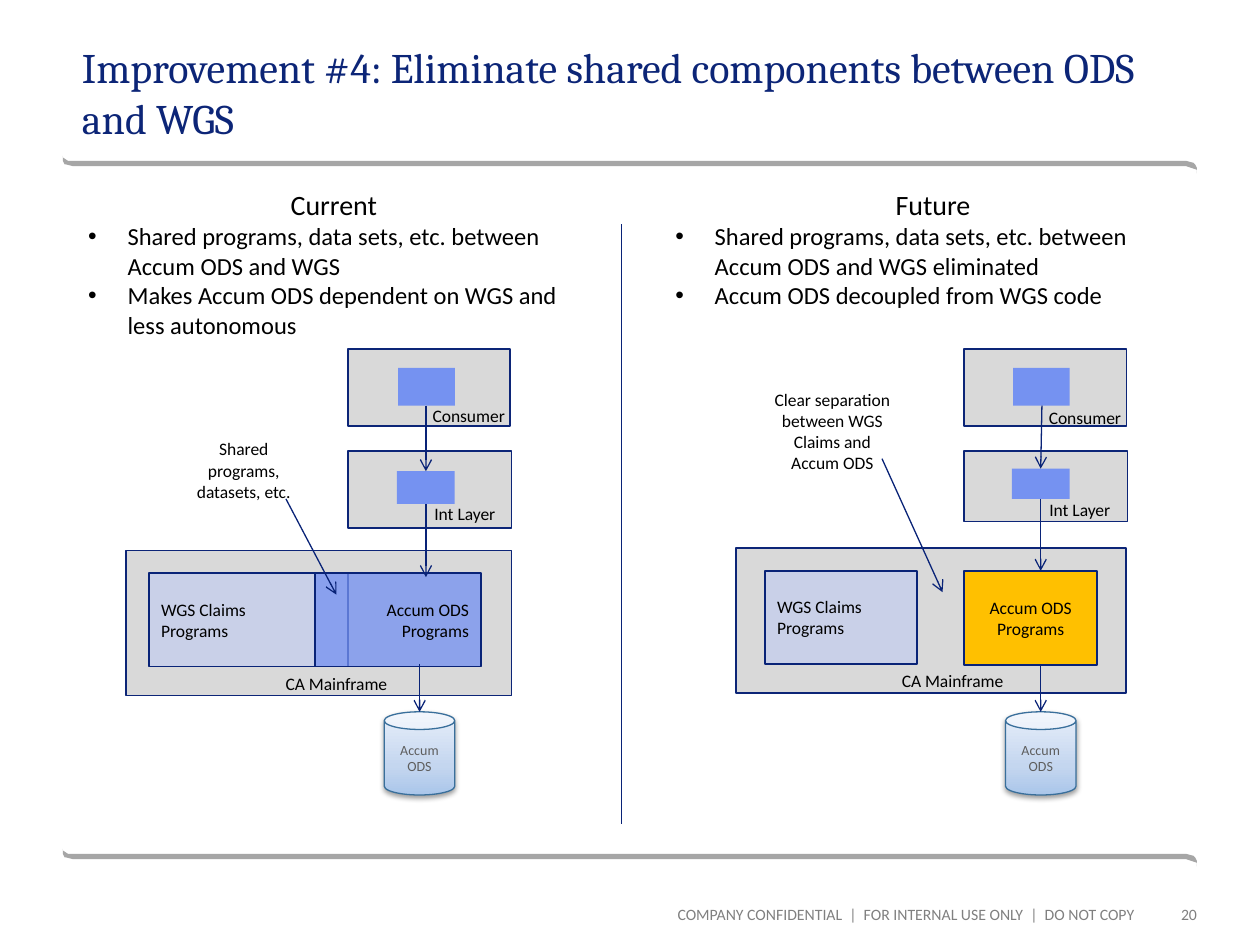
from copy import deepcopy

from lxml import etree
from pptx import Presentation
from pptx.dml.color import RGBColor
from pptx.enum import shapes, text
from pptx.oxml.ns import qn
from pptx.util import Pt

NAVY, INK, BLACK, GREY = "0C2577", "092377", "000000", "808080"
PANEL, BLUE, PALE, AMBER, RULE = "D9D9D9", "7592F1", "BAC9F8", "FFC000", "A6A6A6"
LEFT, CENTER, RIGHT = text.PP_ALIGN.LEFT, text.PP_ALIGN.CENTER, text.PP_ALIGN.RIGHT
TOP, MIDDLE, BOTTOM = text.MSO_ANCHOR.TOP, text.MSO_ANCHOR.MIDDLE, text.MSO_ANCHOR.BOTTOM

TITLE = "Improvement #4: Eliminate shared components between ODS and WGS"
FOOTERS = [
    ("COMPANY CONFIDENTIAL  |  FOR INTERNAL USE ONLY  |  DO NOT COPY", (246.2, 517, 401.8, 10.8)),
    ("20", (653.8, 517, 30.2, 10.8)),
]
RULE_CENTERS = [93.6, 489.6]
RULE_HALF = [(-324.5, -5), (-324.3, -2), (-323, 0), (-321.5, 0.8), (-317.5, 1.6),
             (317.5, 1.6), (321, 2), (323.5, 3.2), (324.2, 5)]
DIVIDER = (355, 128.2, 355, 470.9)
CAN_STOPS = [(0, "AAC6EA"), (0.35, "C4D6EF"), (1, "E8EFFA")]
CAN_LINES = ["Accum", "ODS"]

SIDES = [
    {
        "heading": "Current",
        "points": ["Shared programs, data sets, etc. between Accum ODS and WGS",
                   "Makes Accum ODS dependent on WGS and less autonomous"],
        "list_at": (43.2, 103.7, 295.2, 94.3),
        "panels": [(198.7, 199.4, 92.9, 43.9), (198.7, 257.8, 93.6, 43.9), (72, 314.6, 220.3, 82.8)],
        "components": [(227.5, 210.2, 32.4, 21.6), (226.8, 269.3, 33.1, 18.7)],
        "programs": [(["WGS Claims", "Programs"], (85, 327.6, 113.8, 53.3), PALE, 50, LEFT),
                     (["Accum ODS Programs"], (180, 327.6, 95, 53.3), BLUE, 76, RIGHT)],
        "can": (219.6, 406.8, 40.3, 47.5),
        "labels": [("Consumer", (236.9, 228.2, 61.9, 19.4)),
                   ("Int Layer", (239, 283.7, 53.3, 19.4)),
                   ("CA Mainframe", (154.1, 380.9, 76.3, 19.4)),
                   ("Shared programs, datasets, etc.", (98.6, 247, 81.4, 43.9))],
        "arrows": [(243.4, 231.8, 243.4, 269.3), (243.4, 288, 243.4, 329.8),
                   (239.8, 379.4, 239.8, 406.8), (163.4, 285.1, 192.2, 339.8)],
    },
    {
        "heading": "Future",
        "points": ["Shared programs, data sets, etc. between Accum ODS and WGS eliminated",
                   "Accum ODS decoupled from WGS code"],
        "list_at": (378.7, 103.7, 308.9, 77.8),
        "panels": [(550.8, 199.4, 92.9, 43.9), (550.8, 257.8, 93.6, 40.3), (420.5, 313.2, 223.2, 82.8)],
        "components": [(578.9, 210.2, 32.4, 21.6), (578.2, 267.8, 33.1, 17.3)],
        "programs": [(["WGS Claims", "Programs"], (437, 326.2, 87.1, 53.3), PALE, 50, LEFT),
                     (["Accum ODS Programs"], (550.8, 326.2, 76.3, 54), AMBER, 100, CENTER)],
        "can": (574.6, 406.8, 40.3, 47.5),
        "labels": [("Consumer", (589, 229, 61.9, 19.4)),
                   ("Int Layer", (590.4, 281.5, 53.3, 19.4)),
                   ("CA Mainframe", (506.2, 379.4, 76.3, 19.4)),
                   ("Clear separation between WGS Claims and Accum ODS", (434.9, 218.9, 81.4, 55.4))],
        "arrows": [(595.4, 231.8, 594.7, 267.8), (594.7, 285.1, 594.7, 326.2),
                   (594.7, 380.2, 594.7, 406.8), (504, 262.1, 538.6, 338.4)],
    },
]


def rgb(code):
    return RGBColor.from_string(code)


def pts(values):
    return [Pt(value) for value in values]


def place(holder, at):
    holder.left, holder.top, holder.width, holder.height = pts(at)


def add_run(paragraph, words, size, color=BLACK, font="Calibri"):
    run = paragraph.add_run()
    run.text = words
    run.font.size, run.font.name = Pt(size), font
    run.font.color.rgb = rgb(color)


def set_frame(frame, anchor, insets=(7.2, 3.6, 7.2, 3.6)):
    frame.word_wrap, frame.auto_size = True, text.MSO_AUTO_SIZE.NONE
    frame.vertical_anchor = anchor
    frame.margin_left, frame.margin_top, frame.margin_right, frame.margin_bottom = pts(insets)
    return frame


def write(frame, lines, size, align, color=BLACK):
    for index, line in enumerate(lines):
        paragraph = frame.add_paragraph() if index else frame.paragraphs[0]
        paragraph.alignment = align
        add_run(paragraph, line, size, color)


def add_box(slide, at, fill, line=None, alpha=100):
    box = slide.shapes.add_shape(shapes.MSO_SHAPE.RECTANGLE, *pts(at))
    box.shadow.inherit = False
    box.fill.solid()
    box.fill.fore_color.rgb = rgb(fill)
    if alpha < 100:
        color = box._element.spPr.find(qn("a:solidFill"))[0]
        etree.SubElement(color, qn("a:alpha"), val=str(alpha * 1000))
    if line:
        box.line.color.rgb, box.line.width = rgb(line), Pt(1)
    else:
        box.line.fill.background()
    return box


def add_label(slide, words, at, size=10, align=CENTER, color=BLACK, anchor=TOP, insets=(7.2, 3.6, 7.2, 3.6)):
    label = slide.shapes.add_textbox(*pts(at))
    write(set_frame(label.text_frame, anchor, insets), [words], size, align, color)


def add_line(slide, ends, arrow=True):
    line = slide.shapes.add_connector(shapes.MSO_CONNECTOR.STRAIGHT, *pts(ends))
    line.line.color.rgb, line.line.width = rgb(INK), Pt(0.75)
    if arrow:
        etree.SubElement(line.line._get_or_add_ln(), qn("a:tailEnd"), type="arrow")
    etree.SubElement(line._element.spPr, qn("a:effectLst"))


def add_can(slide, at):
    can = slide.shapes.add_shape(shapes.MSO_SHAPE.CAN, *pts(at))
    can.fill.gradient()
    can.fill.gradient_angle = 90
    stops = can._element.spPr.find(".//" + qn("a:gsLst"))
    stops.append(deepcopy(stops[0]))
    for stop, (position, color) in zip(can.fill.gradient_stops, CAN_STOPS):
        stop.position, stop.color.rgb = position, rgb(color)
    can.line.color.rgb, can.line.width = rgb("396F9B"), Pt(0.75)
    can.shadow.inherit = False
    shadow = etree.SubElement(can._element.spPr.find(qn("a:effectLst")), qn("a:outerShdw"),
                              blurRad=str(Pt(3.1)), dist=str(Pt(1.6)), dir="5400000", rotWithShape="0")
    color = etree.SubElement(shadow, qn("a:srgbClr"), val=BLACK)
    etree.SubElement(color, qn("a:alpha"), val="38000")
    paragraph = set_frame(can.text_frame, MIDDLE).paragraphs[0]
    paragraph.alignment = CENTER
    add_run(paragraph, CAN_LINES[0], 8, "5E5E5E")
    paragraph.add_line_break()
    add_run(paragraph, CAN_LINES[1], 8, "5E5E5E")


def add_rule(slide, center):
    half = [(360 + x, center + y) for x, y in RULE_HALF]
    outline = half + [(720 - x, 2 * center - y) for x, y in half]
    builder = slide.shapes.build_freeform(*outline[0], scale=Pt(1))
    builder.add_line_segments(outline[1:], close=True)
    rule = builder.convert_to_shape()
    rule.shadow.inherit = False
    rule.fill.solid()
    rule.fill.fore_color.rgb = rgb(RULE)
    rule.line.fill.background()


def fill_list(body, side):
    place(body, side["list_at"])
    frame = set_frame(body.text_frame, TOP)
    write(frame, [side["heading"]], 16, CENTER)
    for point in side["points"]:
        add_run(frame.add_paragraph(), point, 14)
    for index, paragraph in enumerate(frame.paragraphs):
        paragraph.space_before = Pt(0)
        props = paragraph._p.get_or_add_pPr()
        indent = Pt(22.5) if index else 0
        props.set("marL", str(indent))
        props.set("indent", str(-indent))
        if index:
            etree.SubElement(props, qn("a:buFont"), typeface="Arial")
            etree.SubElement(props, qn("a:buChar"), char="•")
        else:
            etree.SubElement(props, qn("a:buNone"))


def add_side(slide, side):
    for at in side["panels"]:
        add_box(slide, at, PANEL, NAVY)
    for at in side["components"]:
        add_box(slide, at, BLUE)
    for lines, at, fill, alpha, align in side["programs"]:
        program = add_box(slide, at, fill, INK, alpha)
        write(set_frame(program.text_frame, MIDDLE), lines, 10, align)
    add_can(slide, side["can"])
    for ends in side["arrows"]:
        add_line(slide, ends)
    for words, at in side["labels"]:
        add_label(slide, words, at)


def main():
    """Build the current and future component comparison slide."""
    deck = Presentation()
    deck.slide_width, deck.slide_height = Pt(720), Pt(540)
    slide = deck.slides.add_slide(deck.slide_layouts[3])
    title, *bodies = slide.placeholders
    place(title, (36, 5.8, 648, 79.2))
    heading = set_frame(title.text_frame, BOTTOM, (10.8, 3.6, 7.2, 3.6)).paragraphs[0]
    heading.alignment = LEFT
    add_run(heading, TITLE, 24, NAVY, "Cambria")
    for center in RULE_CENTERS:
        add_rule(slide, center)
    for words, at in FOOTERS:
        add_label(slide, words, at, 9, RIGHT, GREY, MIDDLE, (0, 0, 0, 0))
    for body, side in zip(bodies, SIDES):
        fill_list(body, side)
        add_side(slide, side)
    add_line(slide, DIVIDER, arrow=False)
    deck.save("out.pptx")


if __name__ == "__main__":
    main()
